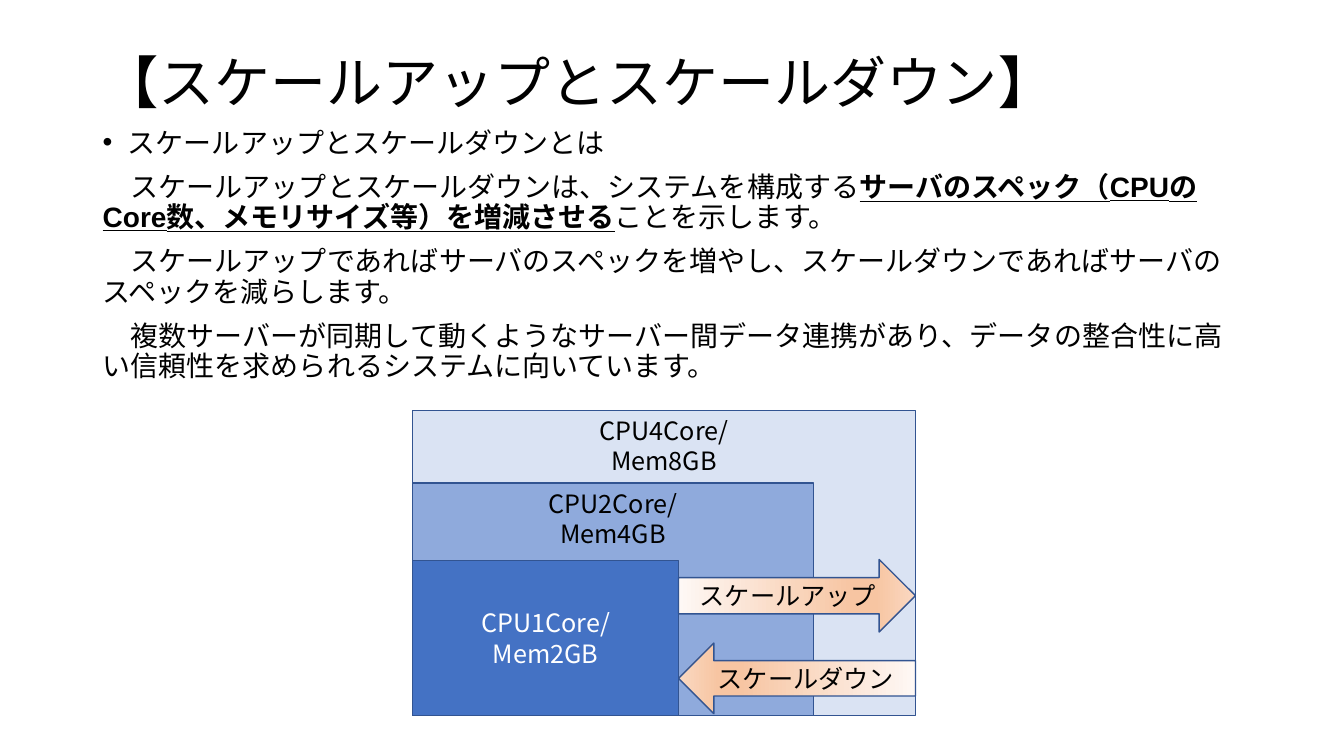
from lxml import etree
from pptx import Presentation
from pptx.dml.color import RGBColor
from pptx.enum import shapes, text
from pptx.oxml import ns
from pptx.util import Inches, Pt

BLACK = RGBColor(0x00, 0x00, 0x00)
WHITE = RGBColor(0xFF, 0xFF, 0xFF)
OUTLINE = RGBColor(0x32, 0x54, 0x91)
PALE_BLUE = RGBColor(0xDA, 0xE3, 0xF3)
MID_BLUE = RGBColor(0x8F, 0xAA, 0xDC)
DEEP_BLUE = RGBColor(0x44, 0x72, 0xC4)
ORANGE_STOPS = [
    (0, RGBColor(0xFE, 0xF8, 0xF5)),
    (74, RGBColor(0xF7, 0xC5, 0xA2)),
    (83, RGBColor(0xF7, 0xC5, 0xA2)),
    (100, RGBColor(0xFA, 0xD8, 0xC1)),
]
LATIN = "Arial"
JAPANESE = "Noto Sans CJK JP"

TITLE = [("【", True), ("スケールアップとスケールダウン", False), ("】", True)]
BULLET = "スケールアップとスケールダウンとは"
PARAGRAPHS = [
    [("　スケールアップとスケールダウンは、システムを構成する", False),
     ("サーバのスペック（CPUのCore数、メモリサイズ等）を増減させる", True),
     ("ことを示します。", False)],
    [("　スケールアップであればサーバのスペックを増やし、"
      "スケールダウンであればサーバのスペックを減らします。", False)],
    [("　複数サーバーが同期して動くようなサーバー間データ連携があり、"
      "データの整合性に高い信頼性を求められるシステムに向いています。", False)],
]
# width, height, fill, text colour, anchor, lines
SERVERS = [
    (4.99, 3.03, PALE_BLUE, BLACK, text.MSO_ANCHOR.TOP, ["CPU4Core/", "Mem8GB"]),
    (3.98, 2.31, MID_BLUE, BLACK, text.MSO_ANCHOR.TOP, ["CPU2Core/", "Mem4GB"]),
    (2.64, 1.54, DEEP_BLUE, WHITE, text.MSO_ANCHOR.MIDDLE, ["CPU1Core/", "Mem2GB"]),
]
# top offset, height, shape, gradient angle, label
ARROWS = [
    (1.48, 0.72, shapes.MSO_SHAPE.RIGHT_ARROW, 0, "スケールアップ"),
    (2.31, 0.70, shapes.MSO_SHAPE.LEFT_ARROW, 180, "スケールダウン"),
]


def add_span(para, words, size, color=BLACK, face=JAPANESE, bold=False, underline=False):
    """Add one formatted run to a paragraph."""
    span = para.add_run()
    span.text = words
    font = span.font
    font.name, font.size = face, Pt(size)
    font.bold, font.underline = bold, underline
    font.color.rgb = color
    east_asian = etree.Element(ns.qn("a:ea"), typeface=JAPANESE)
    font._element.find(ns.qn("a:latin")).addnext(east_asian)


def add_text_box(page, box, anchor):
    """Add a wrapping text box and return its text frame."""
    frame = page.shapes.add_textbox(*map(Inches, box)).text_frame
    frame.word_wrap = True
    frame.vertical_anchor = anchor
    return frame


def add_block(parent, kind, box, anchor, lines, color):
    """Add an outlined shape with centred lines of text."""
    block = parent.add_shape(kind, *map(Inches, box))
    block.shadow.inherit = False
    block.line.color.rgb = OUTLINE
    block.line.width = Pt(1)
    frame = block.text_frame
    frame.word_wrap = True
    frame.vertical_anchor = anchor
    for index, line in enumerate(lines):
        para = frame.add_paragraph() if index else frame.paragraphs[0]
        para.alignment = text.PP_ALIGN.CENTER
        add_span(para, line, 18, color)
    return block


def fill_gradient(block, angle):
    """Give a shape the orange gradient at the given angle."""
    block.fill.gradient()
    block.fill.gradient_angle = angle
    stops = block._element.spPr.find(".//" + ns.qn("a:gsLst"))
    for stop in list(stops):
        stops.remove(stop)
    for percent, color in ORANGE_STOPS:
        stop = etree.SubElement(stops, ns.qn("a:gs"), pos=str(percent * 1000))
        etree.SubElement(stop, ns.qn("a:srgbClr"), val=str(color))


def add_bullet(para):
    """Give a paragraph a round bullet with a hanging indent."""
    properties = para._p.get_or_add_pPr()
    properties.set("marL", str(Inches(0.25)))
    properties.set("indent", str(Inches(-0.25)))
    etree.SubElement(properties, ns.qn("a:buFont"), typeface=LATIN)
    etree.SubElement(properties, ns.qn("a:buChar"), char="•")


def add_title(page, box):
    """Place the heading with bold brackets."""
    para = add_text_box(page, box, text.MSO_ANCHOR.MIDDLE).paragraphs[0]
    para.line_spacing = 0.9
    for words, bracket in TITLE:
        add_span(para, words, 40, face=JAPANESE if bracket else LATIN, bold=bracket)


def add_body(page, box):
    """Place the bulleted lead line and the explanation below it."""
    frame = add_text_box(page, box, text.MSO_ANCHOR.TOP)
    for index, spans in enumerate([[(BULLET, False)]] + PARAGRAPHS):
        para = frame.add_paragraph() if index else frame.paragraphs[0]
        para.line_spacing = 0.9
        para.space_before = Pt(10)
        if index == 0:
            add_bullet(para)
        for words, strong in spans:
            add_span(para, words, 20, face=LATIN, bold=strong, underline=strong)


def add_diagram(page, box):
    """Nest the servers at the bottom left and place arrows beside the smallest."""
    left, top, width, height = box
    group = page.shapes.add_group_shape()
    for wide, high, fill, color, anchor, lines in SERVERS:
        server = add_block(group.shapes, shapes.MSO_SHAPE.RECTANGLE,
                           (left, top + height - high, wide, high), anchor, lines, color)
        server.fill.solid()
        server.fill.fore_color.rgb = fill
    smallest = SERVERS[-1][0]
    for offset, high, kind, angle, label in ARROWS:
        arrow = add_block(page.shapes, kind,
                          (left + smallest, top + offset, width - smallest, high),
                          text.MSO_ANCHOR.MIDDLE, [label], BLACK)
        fill_gradient(arrow, angle)


def build():
    """Build and save the deck."""
    deck = Presentation()
    deck.slide_width, deck.slide_height = Inches(13.33), Inches(7.5)
    page = deck.slides.add_slide(deck.slide_layouts[6])
    add_title(page, (0.92, 0.4, 11.5, 0.9))
    add_body(page, (0.92, 1.23, 11.5, 5.44))
    add_diagram(page, (4.09, 4.07, 4.99, 3.03))
    deck.save("out.pptx")


build()
